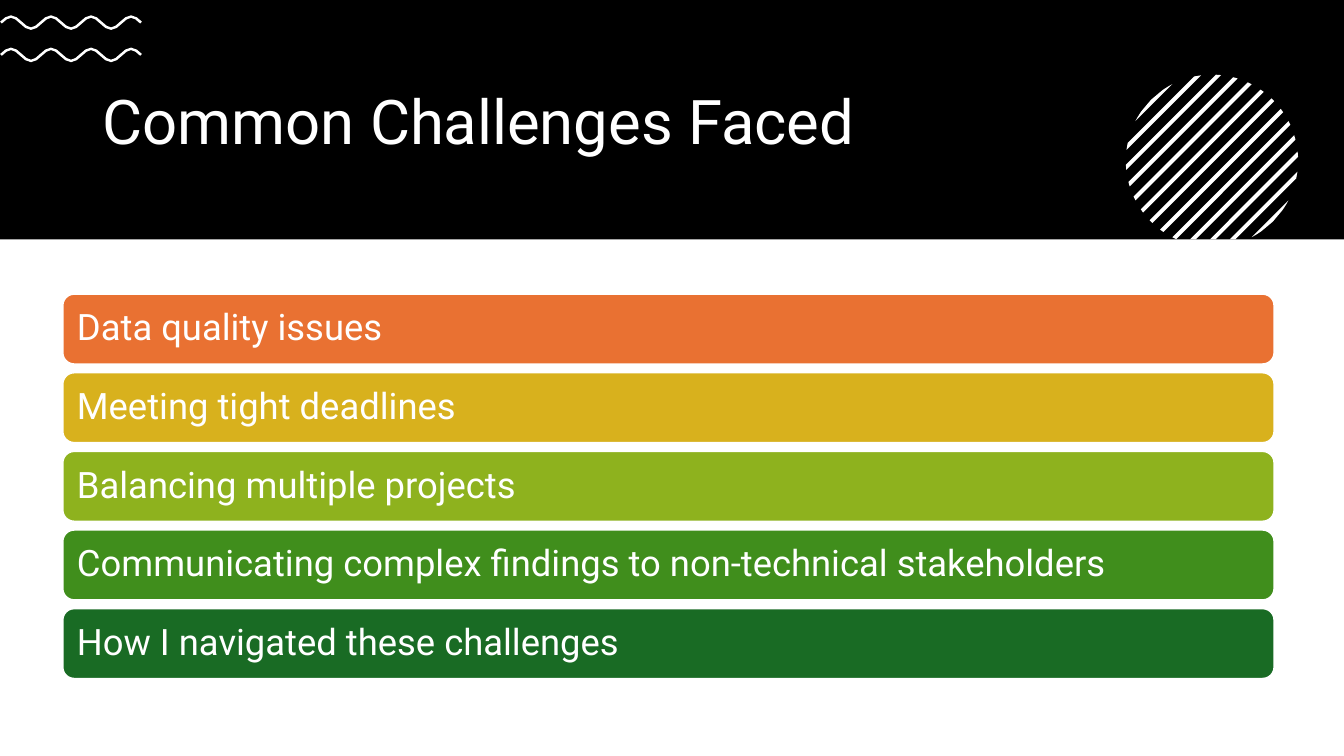
import math
from dataclasses import dataclass

import pptx
import pptx.dml.color
import pptx.enum.shapes
import pptx.enum.text
import pptx.util

SCALE = 4572
WHITE = "FFFFFF"
BLACK = "000000"
FONT = "Roboto"
BASE = 475
KIND = pptx.enum.shapes.MSO_SHAPE


@dataclass
class Bar:
    text: str
    fill: str


@dataclass
class Wave:
    left: int
    right: int
    mid: int
    amp: int = 12
    thick: int = 5
    turns: float = 3.5


@dataclass
class Disc:
    x: int
    y: int
    radius: int
    half: int
    count: int


BARS = [
    Bar("Data quality issues", "E97132"),
    Bar("Meeting tight deadlines", "D8B11D"),
    Bar("Balancing multiple projects", "8EB21E"),
    Bar("Communicating complex findings to non-technical stakeholders", "408E1C"),
    Bar("How I navigated these challenges", "196B24"),
]
WAVES = [Wave(2, 280, 109), Wave(2, 280, 45)]
DISC = Disc(2405, 319, 171, 4, 13)


def px(size: float) -> int:
    return round(size * SCALE)


def color(code: str) -> pptx.dml.color.RGBColor:
    return pptx.dml.color.RGBColor.from_string(code)


def paint(shape, fill: str, line: str = "", width: float = 1.5) -> None:
    shape.shadow.inherit = False
    shape.fill.solid()
    shape.fill.fore_color.rgb = color(fill)
    if line:
        shape.line.color.rgb = color(line)
        shape.line.width = pptx.util.Pt(width)
    else:
        shape.line.fill.background()


def write(shape, text: str, *, size: int, ink: str = WHITE, side: int = 20, edge: int = 10) -> None:
    frame = shape.text_frame
    frame.word_wrap = True
    frame.vertical_anchor = pptx.enum.text.MSO_ANCHOR.MIDDLE
    frame.margin_left = frame.margin_right = px(side)
    frame.margin_top = frame.margin_bottom = px(edge)
    para = frame.paragraphs[0]
    para.alignment = pptx.enum.text.PP_ALIGN.LEFT
    para.line_spacing = 0.9
    run = para.add_run()
    run.text = text
    run.font.name = FONT
    run.font.size = pptx.util.Pt(size)
    run.font.color.rgb = color(ink)


def box(slide, kind: KIND, left: int, top: int, width: int, height: int):
    return slide.shapes.add_shape(kind, px(left), px(top), px(width), px(height))


def outline(slide, points: list[tuple[float, float]]) -> None:
    spots = [(px(x), px(y)) for x, y in points]
    pen = slide.shapes.build_freeform(*spots[0], scale=1.0)
    pen.add_line_segments(spots[1:], close=True)
    paint(pen.convert_to_shape(), WHITE)


def draw_wave(slide, wave: Wave, steps: int = 28) -> None:
    upper, lower = [], []
    rate = math.tau * wave.turns / (wave.right - wave.left)
    for step in range(steps + 1):
        run = (wave.right - wave.left) * step / steps
        x = wave.left + run
        y = wave.mid - wave.amp * math.sin(rate * run)
        slope = -wave.amp * rate * math.cos(rate * run)
        reach = wave.thick / 2 / math.hypot(1, slope)
        upper.append((x + slope * reach, y - reach))
        lower.append((x - slope * reach, y + reach))
    outline(slide, upper + lower[::-1])


def draw_disc(slide, disc: Disc) -> None:
    root = math.sqrt(2)
    pitch = 2 * (disc.radius - disc.half) / (disc.count - 1)
    for index in range(disc.count):
        steps = 3 if index in (0, disc.count - 1) else 1
        mid = pitch * (index - (disc.count - 1) / 2)
        upper, lower = [], []
        for step in range(steps + 1):
            shift = mid + disc.half * (2 * step / steps - 1)
            chord = math.sqrt(max(0, disc.radius ** 2 - shift ** 2))
            drop = min(chord, (BASE - disc.y) * root - shift)
            upper.append((disc.x + (shift + chord) / root, disc.y + (shift - chord) / root))
            lower.append((disc.x + (shift - drop) / root, disc.y + (shift + drop) / root))
        outline(slide, upper + lower[::-1])


def draw_bar(slide, bar: Bar, top: int) -> None:
    shape = box(slide, KIND.ROUNDED_RECTANGLE, 124, top, 2405, 140)
    paint(shape, bar.fill, WHITE)
    write(shape, bar.text, size=26, side=22)


def main() -> None:
    deck = pptx.Presentation()
    deck.slide_width = px(2667)
    deck.slide_height = px(1500)
    slide = deck.slides.add_slide(deck.slide_layouts[6])
    paint(box(slide, KIND.RECTANGLE, 0, 0, 2667, BASE), BLACK)
    title = slide.shapes.add_textbox(px(184), px(124), px(2300), px(246))
    write(title, "Common Challenges Faced", size=44)
    for wave in WAVES:
        draw_wave(slide, wave)
    draw_disc(slide, DISC)
    for index, bar in enumerate(BARS):
        draw_bar(slide, bar, 583 + 156 * index)
    deck.save("out.pptx")


if __name__ == "__main__":
    main()
